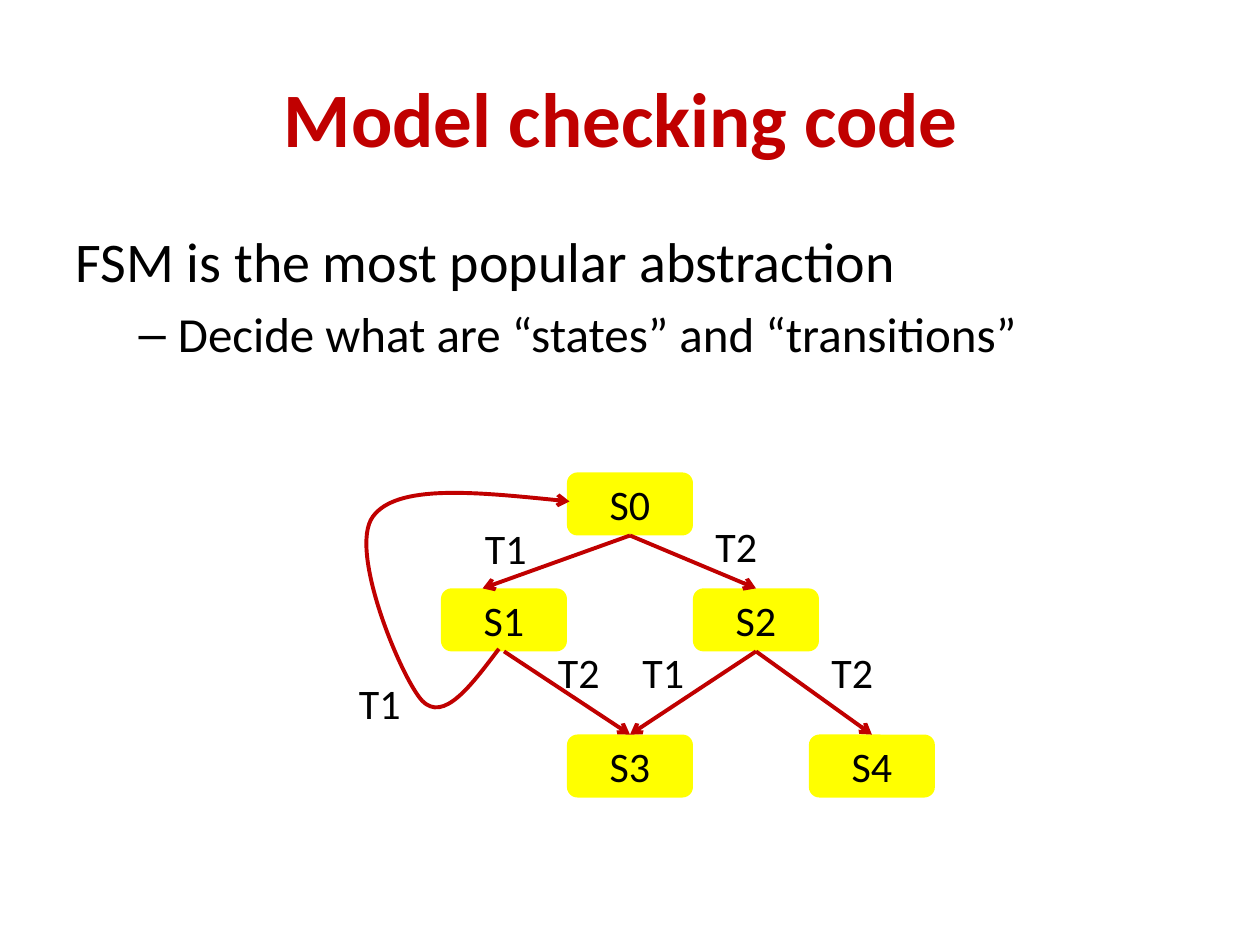
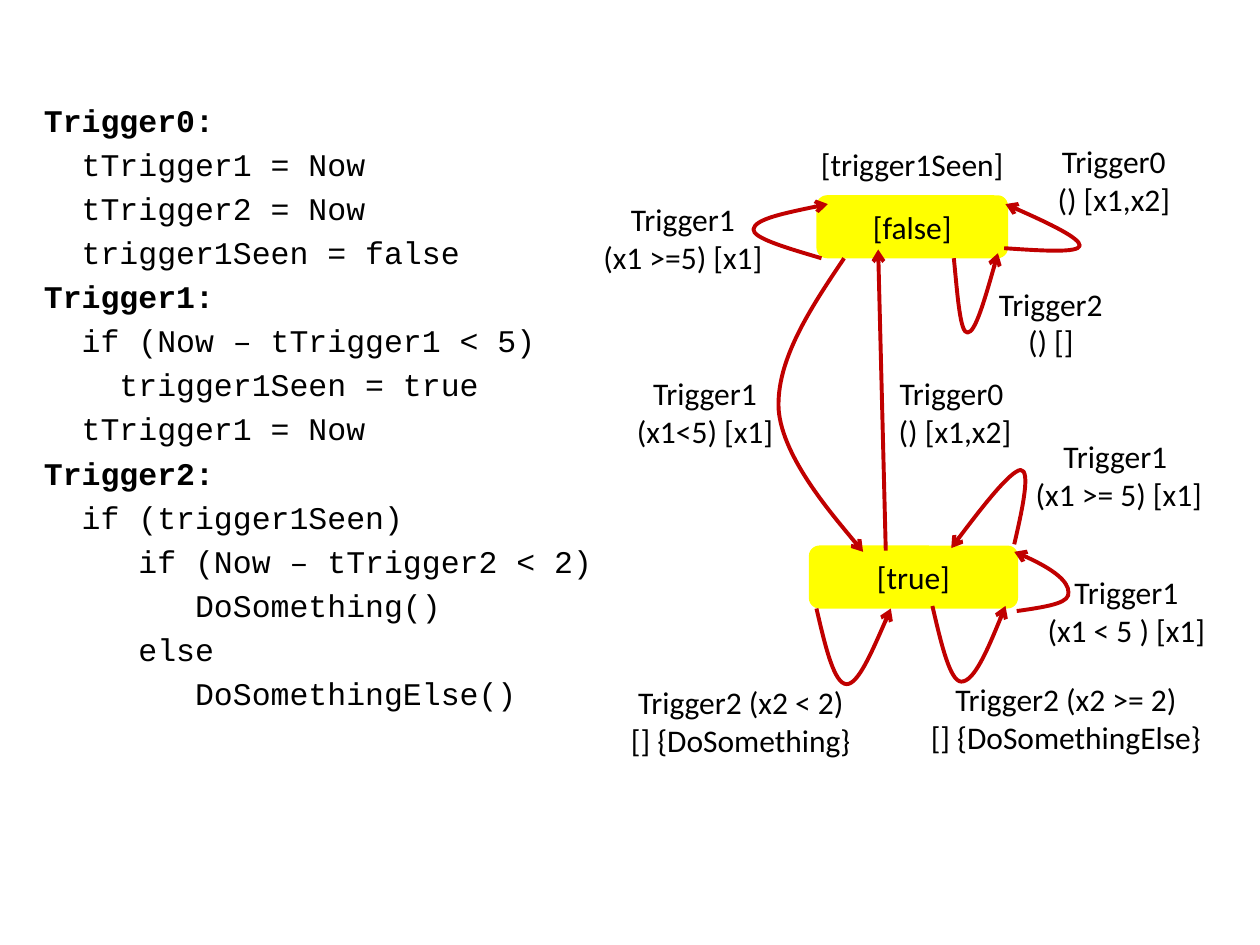
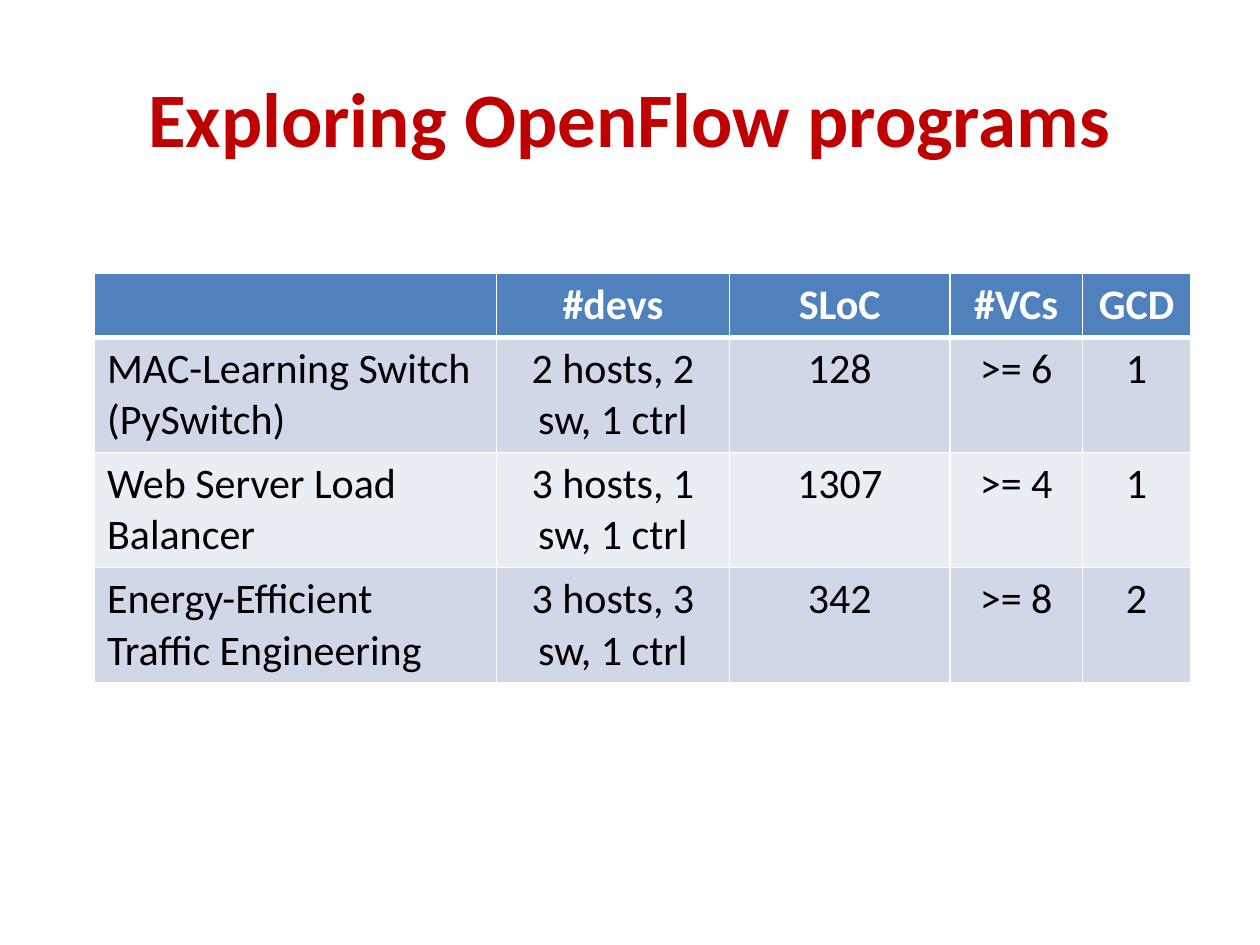
import pptx
import pptx.util
import pptx.dml.color
import pptx.enum.shapes
import pptx.enum.text
import pptx.oxml.ns
from lxml import etree

Inches, Pt = pptx.util.Inches, pptx.util.Pt
qn = pptx.oxml.ns.qn
ALIGN = pptx.enum.text.PP_ALIGN
ANCHOR = pptx.enum.text.MSO_ANCHOR
BOTTOM, TOP = 2, 0

COLORS = {"accent": "C00000", "state": "FFFF00", "text": "000000",
          "header": "4F81BD", "odd": "D0D8E8", "even": "E9EDF4", "white": "FFFFFF"}
FONT, CODE_FONT = "Calibri", "Courier New"

# Slide 1: states, transitions and their labels
POINTS = ["FSM is the most popular abstraction",
          "Decide what are “states” and “transitions”"]
STATES = {"S0": (4.5, 3.75), "S1": (3.5, 4.67), "S2": (5.5, 4.67),
          "S3": (4.5, 5.83), "S4": (6.42, 5.83)}
STATE_SIZE = (1, 0.5)
TRANSITIONS = [("S0", "S2"), ("S1", "S3"), ("S2", "S3"), ("S2", "S4")]
S0_TO_S1 = ((5, 4.25), (3.83, 4.67))
S1_TO_S0 = [(3.96, 5.15), (3.74, 5.44), (3.52, 5.74), (3.35, 5.56), (3.19, 5.39),
            (2.76, 4.37), (2.96, 4.1), (3.15, 3.84), (3.84, 3.91), (4.52, 3.98)]
TRANSITION_LABELS = [("T1", 3.75, 4.1), ("T2", 5.58, 4.08), ("T1", 2.75, 5.33),
                     ("T2", 4.33, 5.08), ("T1", 5, 5.08), ("T2", 6.5, 5.08)]

# Slide 2: trigger code beside its state machine
CODE = """Trigger0:
  tTrigger1 = Now
  tTrigger2 = Now
  trigger1Seen = false
Trigger1:
  if (Now – tTrigger1 < 5)
    trigger1Seen = true
  tTrigger1 = Now
Trigger2:
  if (trigger1Seen)
     if (Now – tTrigger2 < 2)
        DoSomething()
     else
        DoSomethingElse()"""
SEEN_STATES = [("[false]", 6.48, 1.55, 1.52), ("[true]", 6.42, 4.33, 1.66)]
TRUE_TO_FALSE = ((7.03, 4.37), (6.97, 1.98))
TRIGGER_CURVES = [
    [(7.97, 1.97), (8.27, 1.99), (8.56, 2.01), (8.57, 1.95), (8.57, 1.89), (8.28, 1.75), (7.98, 1.62)],
    [(6.7, 2.05), (6.43, 2.45), (6.16, 2.86), (6.18, 3.25), (6.21, 3.64), (6.85, 4.38), (6.85, 4.38)],
    [(6.52, 2.05), (6.25, 1.97), (5.97, 1.89), (5.98, 1.82), (5.99, 1.74), (6.28, 1.68), (6.57, 1.62)],
    [(6.48, 4.83), (6.55, 5.13), (6.62, 5.43), (6.72, 5.43), (6.81, 5.43), (6.94, 5.13), (7.07, 4.83)],
    [(7.4, 4.81), (7.47, 5.11), (7.54, 5.41), (7.63, 5.41), (7.73, 5.41), (7.86, 5.11), (7.98, 4.81)],
    [(8.05, 4.32), (8.12, 4.02), (8.18, 3.73), (8.1, 3.73), (8.02, 3.74), (7.78, 4.04), (7.55, 4.35)],
    [(8.07, 4.85), (8.36, 4.81), (8.49, 4.78), (8.48, 4.7), (8.48, 4.62), (8.35, 4.5), (8.05, 4.38)],
    [(7.57, 2.05), (7.6, 2.35), (7.62, 2.65), (7.68, 2.64), (7.74, 2.64), (7.83, 2.33), (7.92, 2.01)],
]
TRIGGER_LABELS = [  # text, left, top, width, height; \v breaks a line
    ("[trigger1Seen]", 6.23, 1.1, 2.02, 0.4),
    ("Trigger0\n() [x1,x2]", 8.25, 1.08, 1.18, 0.71),
    ("Trigger1\n(x1<5) [x1]", 4.69, 2.92, 1.81, 0.71),
    ("Trigger1\n(x1 >=5) [x1]", 4.67, 1.54, 1.5, 0.71),
    ("Trigger2 (x2 < 2)\n[] {DoSomething}", 4.51, 5.37, 2.74, 0.71),
    ("Trigger2 (x2 >= 2)\n[] {DoSomethingElse}", 7.17, 5.35, 2.58, 0.71),
    ("Trigger0 \v() [x1,x2]", 6.75, 2.92, 1.66, 0.71),
    ("Trigger1 \v(x1 >= 5) [x1]", 7.67, 3.42, 2.42, 0.71),
    ("Trigger1\n(x1 < 5 ) [x1]", 8.17, 4.5, 1.54, 0.71),
    ("Trigger2\n() []", 7.75, 2.21, 1.18, 0.71),
]

# Slide 3: explored programs
PROGRAMS = [
    ("", "#devs", "SLoC", "#VCs", "GCD"),
    ("MAC-Learning Switch (PySwitch)", "2 hosts, 2 sw, 1 ctrl", "128", ">= 6", "1"),
    ("Web Server Load Balancer", "3 hosts, 1 sw, 1 ctrl", "1307", ">= 4", "1"),
    ("Energy-Efficient Traffic Engineering", "3 hosts, 3 sw, 1 ctrl", "342", ">= 8", "2"),
]
COLUMN_WIDTHS = (3.19, 1.85, 1.75, 1.05, 0.86)
ROW_HEIGHTS = (0.46, 0.82, 0.82, 0.82)


def rgb(name):
    return pptx.dml.color.RGBColor.from_string(COLORS[name])


def format_text(tf, size, color="text", align=None, bold=None, font=FONT):
    for p in tf.paragraphs:
        if align is not None:
            p.alignment = align
        for r in p.runs:
            r.font.name, r.font.size, r.font.bold = font, Pt(size), bold
            r.font.color.rgb = rgb(color)


def set_title(slide, text):
    tf = slide.shapes.title.text_frame
    tf.text = text
    tf.vertical_anchor = ANCHOR.MIDDLE
    format_text(tf, 44, "accent", ALIGN.CENTER, True)


def add_label(slide, text, box, size, align=ALIGN.LEFT):
    tf = slide.shapes.add_textbox(*map(Inches, box)).text_frame
    tf.word_wrap = True
    tf.auto_size = pptx.enum.text.MSO_AUTO_SIZE.SHAPE_TO_FIT_TEXT
    tf.text = text
    format_text(tf, size, align=align)


def add_state(slide, text, box, size):
    s = slide.shapes.add_shape(pptx.enum.shapes.MSO_SHAPE.ROUNDED_RECTANGLE, *map(Inches, box))
    s.shadow.inherit = False
    s.fill.solid()
    s.fill.fore_color.rgb = rgb("state")
    s.line.fill.background()
    s.text_frame.text = text
    s.text_frame.vertical_anchor = ANCHOR.MIDDLE
    format_text(s.text_frame, size, align=ALIGN.CENTER)
    return s


def style_arrow(s):
    s.line.color.rgb = rgb("accent")
    s.line.width = Pt(2.25)
    spPr = s.element.spPr
    etree.SubElement(spPr.find(qn("a:ln")), qn("a:tailEnd"), type="arrow")
    etree.SubElement(spPr, qn("a:effectLst"))


def add_arrow(slide, start=(0, 0), end=(0, 0)):
    s = slide.shapes.add_connector(pptx.enum.shapes.MSO_CONNECTOR.STRAIGHT,
                                   *map(Inches, (*start, *end)))
    style_arrow(s)
    return s


def bezier_point(segment, t):
    weights = ((1 - t) ** 3, 3 * t * (1 - t) ** 2, 3 * t * t * (1 - t), t ** 3)
    return tuple(Inches(sum(w * v for w, v in zip(weights, axis))) for axis in zip(*segment))


def add_curved_arrow(slide, points, steps=12):
    """Chain cubic Bezier segments: a start, then three points for each.

    Points along the curve give the shape its bounds; curves then replace the lines.
    """
    segments = [points[i:i + 4] for i in range(0, len(points) - 1, 3)]
    builder = slide.shapes.build_freeform(*map(Inches, points[0]))
    builder.add_line_segments([bezier_point(segment, k / steps) for segment in segments
                               for k in range(1, steps + 1)], close=False)
    s = builder.convert_to_shape()
    outline = s.element.spPr.find(".//" + qn("a:path"))
    for line in outline.findall(qn("a:lnTo")):
        outline.remove(line)
    for segment in segments:
        curve = etree.SubElement(outline, qn("a:cubicBezTo"))
        for x, y in segment[1:]:
            etree.SubElement(curve, qn("a:pt"), x=str(Inches(x) - s.left),
                             y=str(Inches(y) - s.top))
    s.fill.background()
    style_arrow(s)


def set_borders(cell, top, bottom):
    tcPr = cell._tc.get_or_add_tcPr()
    for side, width in (("L", 1), ("R", 1), ("T", top), ("B", bottom)):
        ln = etree.SubElement(tcPr, qn("a:ln" + side), w=str(Pt(width)))
        fill = etree.SubElement(ln, qn("a:solidFill"))
        etree.SubElement(fill, qn("a:srgbClr"), val=COLORS["white"])


def build_model_slide(prs):
    slide = prs.slides.add_slide(prs.slide_layouts[1])
    set_title(slide, "Model checking code ")
    body = slide.placeholders[1]
    body.left, body.top, body.width, body.height = map(Inches, (0.5, 1.75, 9, 1.58))
    tf = body.text_frame
    tf.text = "\n".join(POINTS)
    lead, detail = tf.paragraphs
    pPr = lead._p.get_or_add_pPr()
    pPr.set("marL", "0")
    pPr.set("indent", "0")
    etree.SubElement(pPr, qn("a:buNone"))
    lead.space_before = Pt(0)
    detail.level = 1
    for p, size in ((lead, 32), (detail, 28)):
        for r in p.runs:
            r.font.name, r.font.size = FONT, Pt(size)
            r.font.color.rgb = rgb("text")

    states = {name: add_state(slide, name, (*at, *STATE_SIZE), 24)
              for name, at in STATES.items()}
    add_arrow(slide, *S0_TO_S1).begin_connect(states["S0"], BOTTOM)
    for source, target in TRANSITIONS:
        s = add_arrow(slide)
        s.begin_connect(states[source], BOTTOM)
        s.end_connect(states[target], TOP)
    add_curved_arrow(slide, S1_TO_S0)
    for text, left, top in TRANSITION_LABELS:
        add_label(slide, text, (left, top, 0.67, 0.5), 24)


def build_trigger_slide(prs):
    slide = prs.slides.add_slide(prs.slide_layouts[6])
    for text, left, top, width in SEEN_STATES:
        add_state(slide, text, (left, top, width, 0.5), 18)
    for points in TRIGGER_CURVES:
        add_curved_arrow(slide, points)
    add_arrow(slide, *TRUE_TO_FALSE)
    for text, *box in TRIGGER_LABELS:
        add_label(slide, text, box, 18, ALIGN.CENTER)

    tf = slide.shapes.add_textbox(*map(Inches, (0.25, 0.75, 4.63, 5.45))).text_frame
    tf.word_wrap = True
    tf.text = CODE
    format_text(tf, 18, font=CODE_FONT)
    for i, p in enumerate(tf.paragraphs):
        p.space_before = Pt(3.6 if i else 0)
        p.runs[0].font.bold = p.text.startswith("Trigger")


def build_program_slide(prs):
    slide = prs.slides.add_slide(prs.slide_layouts[5])
    set_title(slide, "Exploring OpenFlow programs")
    table = slide.shapes.add_table(
        len(PROGRAMS), len(COLUMN_WIDTHS), Inches(0.75), Inches(2.17),
        Inches(sum(COLUMN_WIDTHS)), Inches(sum(ROW_HEIGHTS))).table
    for column, width in zip(table.columns, COLUMN_WIDTHS):
        column.width = Inches(width)
    for i, values in enumerate(PROGRAMS):
        table.rows[i].height = Inches(ROW_HEIGHTS[i])
        header = i == 0
        fill = "header" if header else "odd" if i % 2 else "even"
        for j, text in enumerate(values):
            cell = table.cell(i, j)
            cell.text = text
            format_text(cell.text_frame, 24, "white" if header else "text",
                        ALIGN.CENTER if j else ALIGN.LEFT, header)
            set_borders(cell, top=3 if i == 1 else 1, bottom=3 if header else 1)
            cell.fill.solid()
            cell.fill.fore_color.rgb = rgb(fill)


def main():
    prs = pptx.Presentation()
    prs.slide_width, prs.slide_height = Inches(10), Inches(7.5)
    build_model_slide(prs)
    build_trigger_slide(prs)
    build_program_slide(prs)
    prs.save("out.pptx")


if __name__ == "__main__":
    main()
